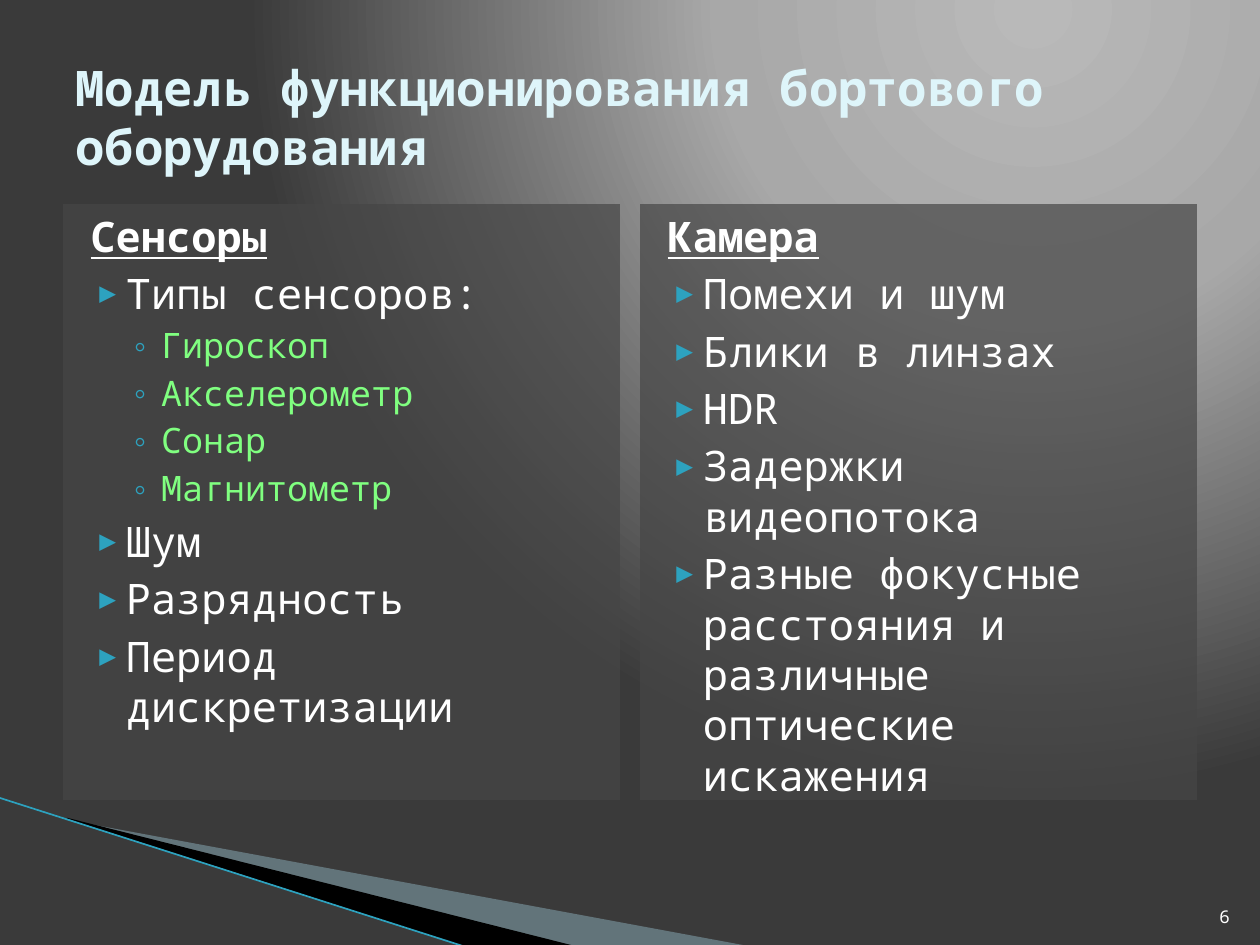
from lxml import etree
from pptx import Presentation
from pptx.dml.color import RGBColor
from pptx.enum.shapes import MSO_CONNECTOR, MSO_SHAPE
from pptx.enum.text import MSO_ANCHOR, PP_ALIGN
from pptx.oxml import parse_xml
from pptx.oxml.ns import nsdecls, qn
from pptx.util import Pt

RECT = MSO_SHAPE.RECTANGLE
STRAIGHT = MSO_CONNECTOR.STRAIGHT
TOP, MIDDLE, BOTTOM = MSO_ANCHOR.TOP, MSO_ANCHOR.MIDDLE, MSO_ANCHOR.BOTTOM
LEFT, RIGHT = PP_ALIGN.LEFT, PP_ALIGN.RIGHT

PX = 9144  # 100 px to the inch
FONT = "Noto Sans Mono"
C = {
    "glow": "B9B9B9", "grey": "A8A8A8", "dark": "3A3A3A",
    "panel": "464646", "white": "FFFFFF", "title": "DEF5FA",
    "green": "80FF80", "bullet": "2DA2BF",
    "wedge": "A0CBDC", "black": "000000", "line": "97C5D8",
}
# Per list level: size, colour, left margin px, hanging px, space before, bullet, bullet size %
LEVELS = [
    (24, "white", 40, 28, 4, "▶", 68),
    (20, "green", 68, 25, 3.2, "◦", 100),
]
SENSORS = [
    (0, "Типы сенсоров:"), (1, "Гироскоп"), (1, "Акселерометр"),
    (1, "Сонар"), (1, "Магнитометр"), (0, "Шум"), (0, "Разрядность"),
    (0, "Период дискретизации"),
]
CAMERA = [
    (0, "Помехи и шум"), (0, "Блики в линзах"), (0, "HDR"),
    (0, "Задержки видеопотока"),
    (0, "Разные фокусные расстояния и различные оптические искажения"),
]


def px(*values):
    return [v * PX for v in values]


def rgb(name):
    return RGBColor.from_string(C[name])


def fill(shape, color, alpha=100):
    shape.shadow.inherit = False
    shape.fill.solid()
    shape.fill.fore_color.rgb = rgb(color)
    shape.line.fill.background()
    if alpha < 100:
        clr = shape.fill._xPr.find(qn("a:solidFill"))[0]
        etree.SubElement(clr, qn("a:alpha")).set("val", str(alpha * 1000))


def style(p, text, size, color, bold=False, align=LEFT):
    p.text = text
    p.alignment = align
    f = p.font
    f.name, f.size, f.bold = FONT, Pt(size), bold
    f.color.rgb = rgb(color)


def add_text(s, box, text, size, color, anchor, bold=False, align=LEFT):
    tf = s.shapes.add_textbox(*px(*box)).text_frame
    tf.word_wrap = True
    tf.vertical_anchor = anchor
    style(tf.paragraphs[0], text, size, color, bold, align)


def background(s):
    s.background.fill.solid()
    bg_pr = s.element.find(".//" + qn("p:bgPr"))
    stops = "".join(
        f'<a:gs pos="{pos * 1000}"><a:srgbClr val="{C[name]}"/></a:gs>'
        for pos, name in ((0, "glow"), (40, "grey"), (100, "dark")))
    grad = parse_xml(
        f'<a:gradFill {nsdecls("a")} rotWithShape="1"><a:gsLst>{stops}</a:gsLst>'
        '<a:path path="circle"><a:fillToRect l="65000" t="0" r="0" b="98000"/>'
        '</a:path></a:gradFill>')
    bg_pr.replace(bg_pr.find(qn("a:solidFill")), grad)


def wedges(s, x, y):
    """Corner decoration, with its tip at x, y."""
    for points, color, alpha in (
        ([(2, 2), (542, 102), (403, 102), (2, 1)], "wedge", 40),
        ([(0, 0), (404, 102), (319, 103), (1, 1)], "black", 100),
    ):
        (x0, y0), *rest = [(x + dx, y + dy) for dx, dy in points]
        fb = s.shapes.build_freeform(x0, y0, scale=PX)
        fb.add_line_segments(rest, close=True)
        fill(fb.convert_to_shape(), color, alpha)
    cn = s.shapes.add_connector(
        STRAIGHT, *px(x - 54, y - 16, x + 318, y + 103))
    cn.line.color.rgb = rgb("bullet")
    cn.line.width = Pt(0.95)
    etree.SubElement(cn._element.spPr, qn("a:effectLst"))


def list_paragraph(p, text, level, heading=False):
    size, color, margin, hang, before, char, bullet_size = LEVELS[level]
    style(p, text, size, color, bold=heading)
    p.level = level
    p.space_before = Pt(before)
    pPr = p._p.get_or_add_pPr()
    pPr.set("marL", str(margin * PX))
    pPr.set("indent", str(-hang * PX))
    if heading:
        p.font.underline = True
        bullet = [("buNone", None, None)]
    else:
        bullet = [("buClr", None, None),
                  ("buSzPct", "val", str(bullet_size * 1000)),
                  ("buFont", "typeface", FONT), ("buChar", "char", char)]
    at = list(pPr).index(pPr.find(qn("a:defRPr")))
    for i, (tag, key, value) in enumerate(bullet):
        el = etree.Element(qn("a:" + tag))
        if key:
            el.set(key, value)
        if tag == "buClr":
            etree.SubElement(el, qn("a:srgbClr")).set("val", C["bullet"])
        pPr.insert(at + i, el)


def panel(s, box, heading, items):
    sp = s.shapes.add_shape(RECT, *px(*box))
    fill(sp, "panel", 70)
    tf = sp.text_frame
    tf.word_wrap = True
    tf.vertical_anchor = TOP
    list_paragraph(tf.paragraphs[0], heading, 0, heading=True)
    for level, text in items:
        list_paragraph(tf.add_paragraph(), text, level)


def main():
    prs = Presentation()
    prs.slide_width, prs.slide_height = px(1000, 750)
    s = prs.slides.add_slide(prs.slide_layouts[6])
    background(s)
    wedges(s, 53, 649)
    # Two equal columns
    for i, (heading, items) in enumerate(
            (("Сенсоры", SENSORS), ("Камера", CAMERA))):
        panel(s, (50 + i * 458, 162, 442, 473), heading, items)
    # Slide number and title
    add_text(s, (946, 701, 40, 40), "6", 10, "white", BOTTOM, align=RIGHT)
    add_text(s, (50, 30, 900, 125),
             "Модель функционирования бортового оборудования",
             28, "title", MIDDLE, bold=True)
    prs.save("out.pptx")


if __name__ == "__main__":
    main()
